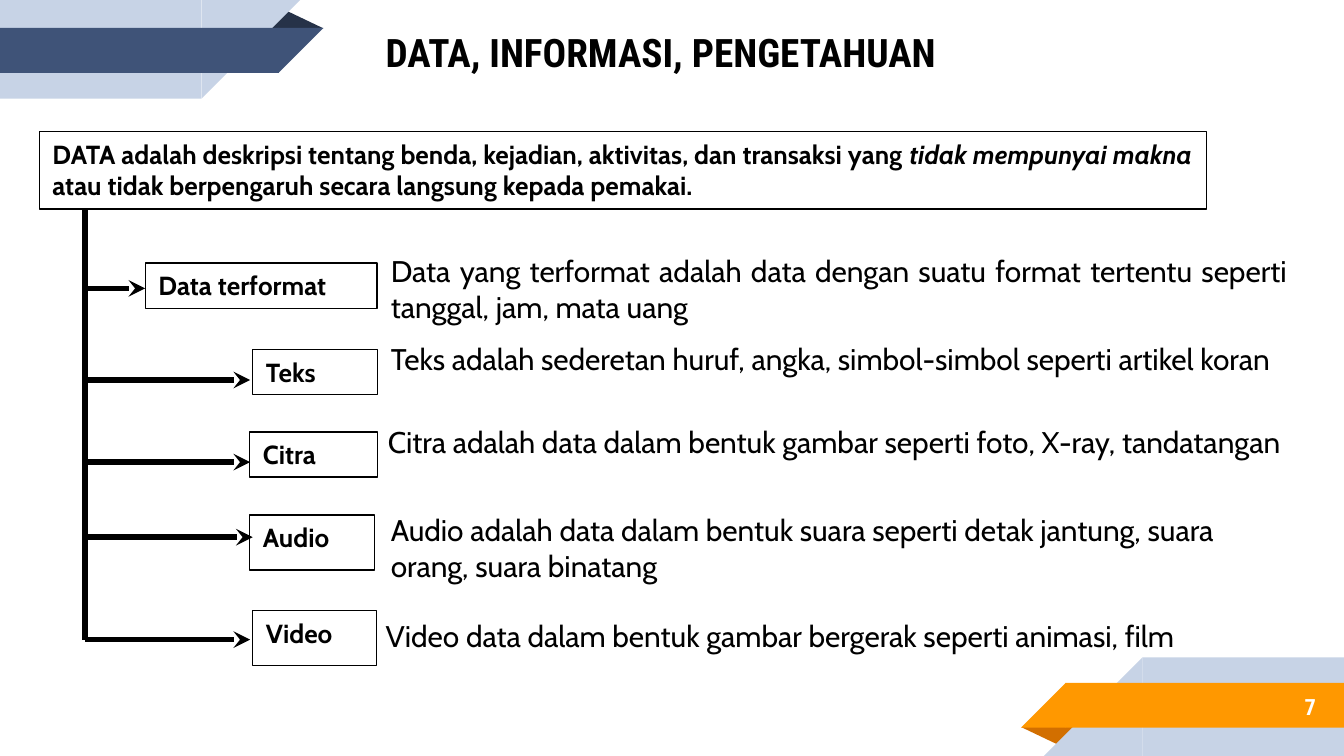
from dataclasses import dataclass

from lxml import etree
from pptx import Presentation
from pptx import util as u
from pptx.dml.color import RGBColor
from pptx.enum import shapes, text
from pptx.oxml import ns

Pt = u.Pt
SHAPE = shapes.MSO_SHAPE


@dataclass(frozen=True)
class Theme:
    ink: str = "000000"
    white: str = "FFFFFF"
    pale: str = "C7D3E6"
    navy: str = "3F5378"
    dark_navy: str = "263248"
    orange: str = "FF9800"
    dark_orange: str = "D26F00"
    heading: str = "Roboto Condensed"
    body: str = "Cabin"
    title_size: float = 21
    text_size: float = 16
    label_size: float = 14
    number_size: float = 12
    border: float = 0.75
    stroke: float = 3


@dataclass(frozen=True)
class Box:
    x: float
    y: float
    w: float
    h: float


@dataclass(frozen=True)
class Ribbon:
    kind: SHAPE
    box: Box
    color: str
    rotation: float = 0


@dataclass(frozen=True)
class Branch:
    label: str
    label_box: Box
    detail: str
    detail_box: Box
    arrow_y: float
    arrow_end: float
    align: text.PP_ALIGN = text.PP_ALIGN.LEFT


T = Theme()
TRUNK_X, TRUNK_TOP = 45.5, 112.3
DETAIL_W = 494.6
HEADING = dict(name=T.heading, bold=True)
LABEL = dict(name=T.body, size=Pt(T.label_size), bold=True)
DETAIL = dict(name=T.body, size=Pt(T.text_size))

RECT, CORNER, FOLD = SHAPE.RECTANGLE, SHAPE.RIGHT_TRIANGLE, SHAPE.ISOSCELES_TRIANGLE
RIBBONS = [
    # Bottom right
    Ribbon(FOLD, Box(547.2, 389.6, 31, 10), T.dark_orange, 180),
    Ribbon(RECT, Box(612, 352.2, 108, 52.8), T.pale),
    Ribbon(CORNER, Box(559.2, 352.2, 52.8, 52.8), T.pale, 270),
    Ribbon(RECT, Box(570.8, 365.8, 149.2, 24), T.orange),
    Ribbon(CORNER, Box(547, 365.8, 24, 24), T.orange, 270),
    # Top left
    Ribbon(FOLD, Box(142.3, 5.2, 31, 10), T.dark_navy),
    Ribbon(RECT, Box(0, 0, 108, 52.8), T.pale),
    Ribbon(CORNER, Box(108, 0, 52.8, 52.8), T.pale, 90),
    Ribbon(RECT, Box(0, 15, 149.5, 24), T.navy),
    Ribbon(CORNER, Box(149.2, 15, 24, 24), T.navy, 90),
]

BRANCHES = [
    Branch("Data terformat", Box(77.8, 141, 124.2, 24.2),
           "Data yang terformat adalah data dengan suatu format tertentu "
           "seperti tanggal, jam, mata uang",
           Box(202.3, 131.8, DETAIL_W, 46), 154.5, 77.8, text.PP_ALIGN.JUSTIFY),
    Branch("Teks", Box(135.4, 187.2, 66.8, 24.2),
           "Teks adalah sederetan huruf, angka, simbol-simbol seperti artikel koran",
           Box(202.3, 179, DETAIL_W, 46), 203.6, 134),
    Branch("Citra", Box(133.8, 231.4, 68.4, 24.2),
           "Citra adalah data dalam bentuk gambar seperti foto, X-ray, tandatangan",
           Box(200.7, 223.4, DETAIL_W, 46), 247.6, 134),
    Branch("Audio", Box(133.8, 275.8, 67, 29.5),
           "Audio adalah data dalam bentuk suara seperti detak jantung, "
           "suara orang, suara binatang",
           Box(202.3, 270.7, DETAIL_W, 46), 287.8, 135.4),
    Branch("Video", Box(135.4, 327, 66.2, 29.5),
           "Video data dalam bentuk gambar bergerak seperti animasi, film",
           Box(199.6, 327.6, DETAIL_W, 26.6), 342.7, 134),
]


def frame(box: Box) -> tuple:
    return Pt(box.x), Pt(box.y), Pt(box.w), Pt(box.h)


def write(sp, runs: list, color: str, fmt: dict, align=text.PP_ALIGN.LEFT,
          anchor=text.MSO_ANCHOR.TOP) -> None:
    tf = sp.text_frame
    tf.word_wrap = True
    tf.vertical_anchor = anchor
    p = tf.paragraphs[0]
    p.alignment = align
    for words, extra in runs:
        r = p.add_run()
        r.text = words
        r.font.color.rgb = RGBColor.from_string(color)
        for key, value in {**fmt, **extra}.items():
            setattr(r.font, key, value)


def add_text(s, box: Box, words: str, color: str, fmt: dict, **layout):
    sp = s.shapes.add_textbox(*frame(box))
    write(sp, [(words, {})], color, fmt, **layout)
    return sp


def add_framed(s, box: Box, runs: list) -> None:
    sp = s.shapes.add_shape(RECT, *frame(box))
    sp.shadow.inherit = False
    sp.fill.background()
    sp.line.color.rgb = RGBColor.from_string(T.ink)
    sp.line.width = Pt(T.border)
    write(sp, runs, T.ink, LABEL)


def add_ribbon(s, part: Ribbon) -> None:
    sp = s.shapes.add_shape(part.kind, *frame(part.box))
    sp.shadow.inherit = False
    sp.fill.solid()
    sp.fill.fore_color.rgb = RGBColor.from_string(part.color)
    sp.line.fill.background()
    sp.rotation = part.rotation
    if part.kind == FOLD:
        sp.adjustments[0] = 0.324


def add_line(s, x1: float, y1: float, x2: float, y2: float, arrow: bool = False) -> None:
    sp = s.shapes.add_connector(shapes.MSO_CONNECTOR.STRAIGHT, Pt(x1), Pt(y1), Pt(x2), Pt(y2))
    sp.line.color.rgb = RGBColor.from_string(T.ink)
    sp.line.width = Pt(T.stroke)
    if arrow:
        etree.SubElement(sp.line._get_or_add_ln(), ns.qn("a:tailEnd"), type="stealth")
    etree.SubElement(sp._element.spPr, ns.qn("a:effectLst"))


def main() -> None:
    prs = Presentation()
    prs.slide_width, prs.slide_height = Pt(720), Pt(405)
    s = prs.slides.add_slide(prs.slide_layouts[6])

    # Corner ribbons and slide number
    for part in RIBBONS:
        add_ribbon(s, part)
    number = add_text(s, Box(594.7, 365.8, 117.4, 25.2), "7", T.white,
                      {**HEADING, "size": Pt(T.number_size)},
                      align=text.PP_ALIGN.RIGHT, anchor=text.MSO_ANCHOR.MIDDLE)
    for side in ("left", "top", "right", "bottom"):
        setattr(number.text_frame, f"margin_{side}", Pt(7.2))

    # Title and definition
    add_text(s, Box(199.5, 11.5, DETAIL_W, 38.2), "DATA, INFORMASI, PENGETAHUAN",
             T.ink, {**HEADING, "size": Pt(T.title_size)})
    add_framed(s, Box(21, 70.5, 625.3, 41.6), [
        ("DATA adalah deskripsi tentang benda, kejadian, aktivitas, dan transaksi yang ", {}),
        ("tidak mempunyai makna ", {"italic": True}),
        ("atau tidak berpengaruh secara langsung kepada pemakai.", {}),
    ])

    # Kinds of data, branching from the trunk
    for b in BRANCHES:
        add_framed(s, b.label_box, [(b.label, {})])
        add_text(s, b.detail_box, b.detail, T.ink, DETAIL, align=b.align)
        add_line(s, TRUNK_X, b.arrow_y, b.arrow_end, b.arrow_y, arrow=True)
    add_line(s, TRUNK_X, BRANCHES[-1].arrow_y, TRUNK_X, TRUNK_TOP)

    prs.save("out.pptx")


if __name__ == "__main__":
    main()
